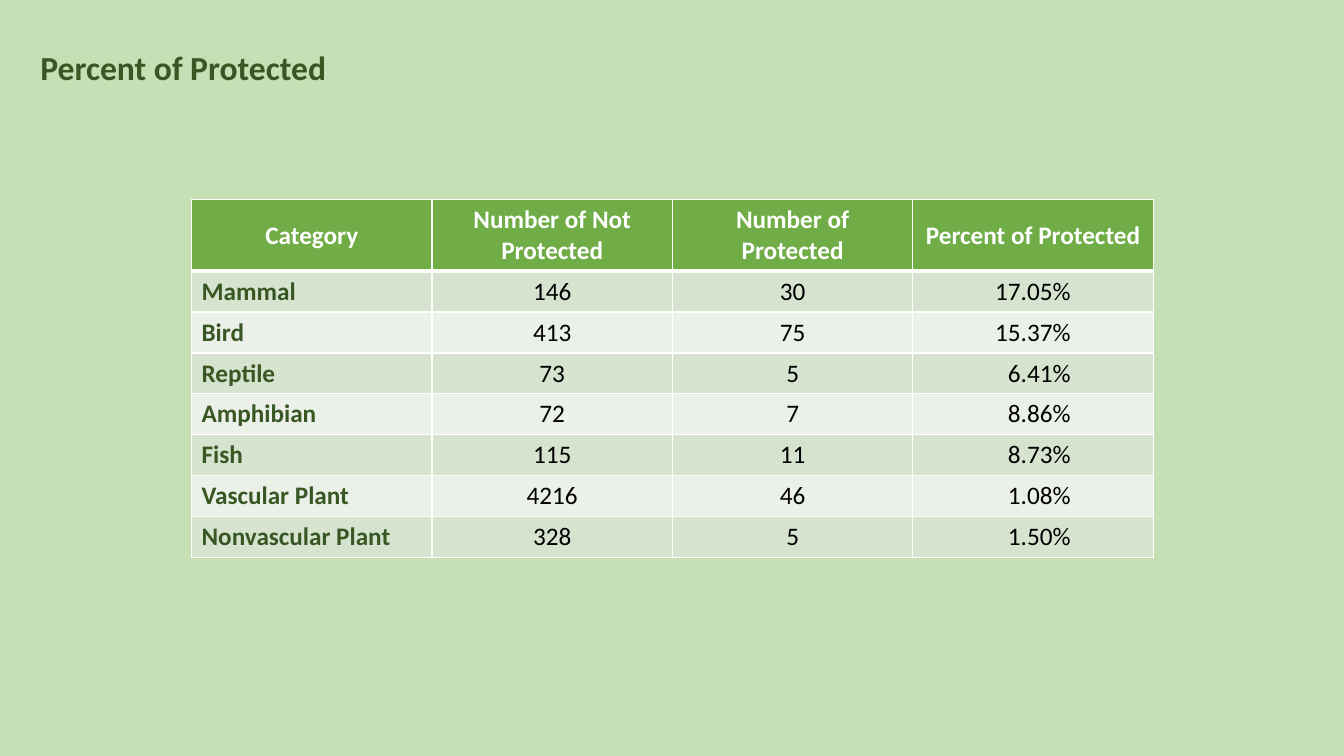
from lxml import etree
from pptx import Presentation
from pptx.dml.color import RGBColor
from pptx.enum.text import MSO_ANCHOR, PP_ALIGN
from pptx.oxml.ns import qn
from pptx.util import Inches, Pt

LEFT, CENTER, RIGHT = PP_ALIGN.LEFT, PP_ALIGN.CENTER, PP_ALIGN.RIGHT
TOP, MIDDLE = MSO_ANCHOR.TOP, MSO_ANCHOR.MIDDLE

# Content
TITLE = "Percent of Protected"
HEADERS = ["Category", "Number of Not Protected", "Number of Protected", "Percent of Protected"]
SPECIES = [
    ("Mammal", "146", "30", "17.05%"),
    ("Bird", "413", "75", "15.37%"),
    ("Reptile", "73", "5", "6.41%"),
    ("Amphibian", "72", "7", "8.86%"),
    ("Fish", "115", "11", "8.73%"),
    ("Vascular Plant", "4216", "46", "1.08%"),
    ("Nonvascular Plant", "328", "5", "1.50%"),
]

# Look
FONT = "Calibri"
BACKGROUND, DARK_GREEN, HEADER_GREEN = "C5E0B4", "385723", "70AD47"
BANDS = ["D5E3CF", "EBF1E9"]
WHITE, BLACK = "FFFFFF", "000000"
COLUMN_ALIGNMENTS = [LEFT, CENTER, CENTER, RIGHT]
COLUMN_WIDTH, HEADER_HEIGHT, ROW_HEIGHT = 2.385, 0.7, 0.405
PERCENT_MARGIN = 0.82


def color(hex_string):
    return RGBColor.from_string(hex_string)


def format_text(text_frame, size, hex_string, bold, alignment):
    for paragraph in text_frame.paragraphs:
        paragraph.alignment = alignment
        for run in paragraph.runs:
            run.font.name = FONT
            run.font.size = Pt(size)
            run.font.bold = bold
            run.font.color.rgb = color(hex_string)


def add_borders(cell, top, bottom):
    properties = cell._tc.get_or_add_tcPr()
    for side, width in (("L", 1), ("R", 1), ("T", top), ("B", bottom)):
        line = etree.SubElement(properties, qn(f"a:ln{side}"), w=str(Pt(width)))
        fill = etree.SubElement(line, qn("a:solidFill"))
        etree.SubElement(fill, qn("a:srgbClr"), val=WHITE)


def fill_cell(cell, text, row, column):
    is_header = row == 0
    add_borders(cell, top=3 if row == 1 else 1, bottom=3 if is_header else 1)
    cell.fill.solid()
    cell.fill.fore_color.rgb = color(HEADER_GREEN if is_header else BANDS[(row - 1) % 2])
    cell.vertical_anchor = MIDDLE if is_header else TOP
    cell.text_frame.text = text
    if is_header:
        format_text(cell.text_frame, 18, WHITE, True, CENTER)
        return
    is_category = column == 0
    format_text(cell.text_frame, 18, DARK_GREEN if is_category else BLACK,
                is_category, COLUMN_ALIGNMENTS[column])
    if COLUMN_ALIGNMENTS[column] == RIGHT:
        cell.margin_right = Inches(PERCENT_MARGIN)


def main():
    presentation = Presentation()
    presentation.slide_width, presentation.slide_height = Inches(13.33), Inches(7.5)
    slide = presentation.slides.add_slide(presentation.slide_layouts[5])
    slide.background.fill.solid()
    slide.background.fill.fore_color.rgb = color(BACKGROUND)

    # Title
    title = slide.shapes.title
    title.left, title.top, title.width, title.height = map(Inches, (0.3, 0.42, 3.19, 0.5))
    title.text_frame.text = TITLE
    title.text_frame.vertical_anchor = TOP
    title.text_frame.word_wrap = False
    format_text(title.text_frame, 24, DARK_GREEN, True, LEFT)

    # Table
    rows = [HEADERS] + SPECIES
    width = COLUMN_WIDTH * len(HEADERS)
    height = HEADER_HEIGHT + ROW_HEIGHT * len(SPECIES)
    table = slide.shapes.add_table(len(rows), len(HEADERS), Inches(1.9), Inches(1.98),
                                   Inches(width), Inches(height)).table
    for table_column in table.columns:
        table_column.width = Inches(COLUMN_WIDTH)
    for row, texts in enumerate(rows):
        table.rows[row].height = Inches(ROW_HEIGHT if row else HEADER_HEIGHT)
        for column, text in enumerate(texts):
            fill_cell(table.cell(row, column), text, row, column)

    presentation.save("out.pptx")


if __name__ == "__main__":
    main()
